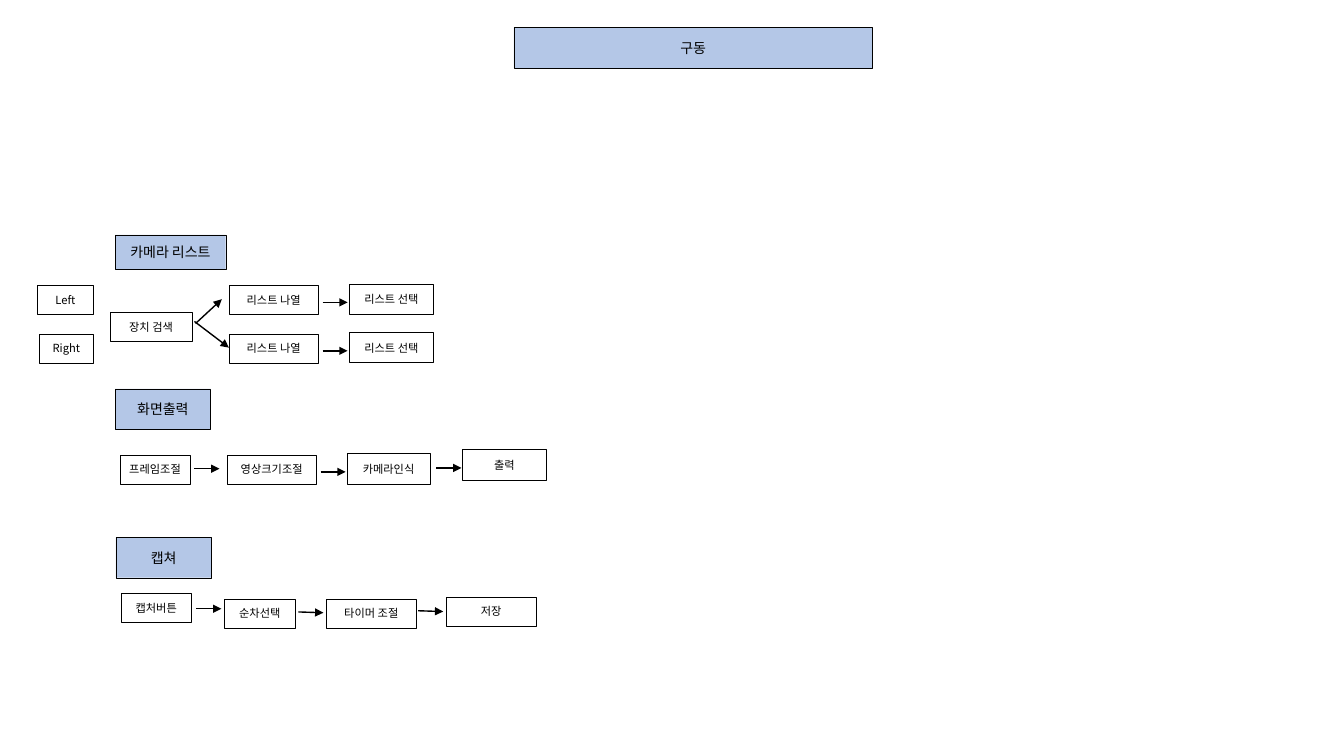
from lxml import etree
from pptx import Presentation
from pptx import util as u
from pptx.dml.color import RGBColor
from pptx.enum import shapes, text
from pptx.oxml.ns import qn

COLORS = {"ink": "000000", "heading": "B4C7E7"}
FONT = "Noto Sans CJK KR"


class Flow:
    """Style and current slide; all lengths are centimetres."""

    def __init__(self, slide):
        self.s = slide

    def color(self, name):
        return RGBColor.from_string(COLORS[name])

    def box(self, label, x, y, w, h=0.74, size=8, fill=None):
        sp = self.s.shapes.add_shape(
            shapes.MSO_SHAPE.RECTANGLE, u.Cm(x), u.Cm(y), u.Cm(w), u.Cm(h))
        sp.shadow.inherit = False
        if fill:
            sp.fill.solid()
            sp.fill.fore_color.rgb = self.color(fill)
        else:
            sp.fill.background()
        sp.line.color.rgb = self.color("ink")
        sp.line.width = u.Pt(0.25)
        tf = sp.text_frame
        tf.word_wrap = True
        tf.vertical_anchor = text.MSO_ANCHOR.MIDDLE
        tf.margin_left = tf.margin_right = u.Cm(0.1)
        tf.margin_top = tf.margin_bottom = u.Cm(0.1)
        p = tf.paragraphs[0]
        p.text = label
        p.alignment = text.PP_ALIGN.CENTER
        p.font.size = u.Pt(size)
        p.font.color.rgb = self.color("ink")
        p.font.name = FONT
        # Korean text takes the East Asian font
        props = p._p.pPr.find(qn("a:defRPr"))
        etree.SubElement(props, qn("a:ea")).set("typeface", FONT)

    def heading(self, label, x, y, w=2.41, h=1.02):
        self.box(label, x, y, w, h, size=10, fill="heading")

    def arrow(self, x1, y1, x2, y2):
        c = self.s.shapes.add_connector(
            shapes.MSO_CONNECTOR.STRAIGHT, u.Cm(x1), u.Cm(y1), u.Cm(x2), u.Cm(y2))
        c.line.color.rgb = self.color("ink")
        c.line.width = u.Pt(1)
        ln = c.line._get_or_add_ln()
        etree.SubElement(ln, qn("a:tailEnd")).set("type", "triangle")
        etree.SubElement(c._element.spPr, qn("a:effectLst"))

    def step_arrow(self, x, y, drop=0):
        self.arrow(x, y, x + 0.63, y + drop)


def main():
    prs = Presentation()
    prs.slide_width, prs.slide_height = u.Cm(33.87), u.Cm(19.05)
    flow = Flow(prs.slides.add_slide(prs.slide_layouts[6]))

    # Title and section headings
    flow.heading("구동", 12.95, 0.69, w=9.04)
    flow.heading("카메라 리스트", 2.9, 5.92, w=2.79, h=0.86)
    flow.heading("화면출력", 2.9, 9.8)
    flow.heading("캡쳐", 2.92, 13.54)

    # Camera list: one search forks into a left and a right row
    flow.box("장치 검색", 2.77, 7.87, 2.08)
    for i, (side, x, w) in enumerate([("Left", 0.94, 1.42), ("Right", 0.99, 1.37)]):
        dy = 1.22 * i
        flow.box(side, x, 7.19 + dy, w)
        flow.box("리스트 나열", 5.77, 7.19 + dy, 2.26)
        flow.step_arrow(8.13, 7.62 + dy)
        flow.box("리스트 선택", 8.81, 7.16 + dy, 2.11, 0.76)
    flow.arrow(4.93, 8.15, 5.59, 7.54)
    flow.arrow(4.9, 8.1, 5.77, 8.76)

    # Screen output and capture steps
    for step in [
        ("프레임조절", 3.02, 11.46, 1.78),
        ("영상크기조절", 5.72, 11.46, 2.26),
        ("카메라인식", 8.74, 11.43, 2.11, 0.76),
        ("출력", 11.66, 11.33, 2.11, 0.76),
        ("캡처버튼", 3.05, 14.94, 1.78),
        ("순차선택", 5.66, 15.09, 1.78),
        ("타이머 조절", 8.23, 15.09, 2.26),
        ("저장", 11.25, 15.04, 2.26),
    ]:
        flow.box(*step)

    # Arrows between those steps
    for link in [
        (4.9, 11.81), (8.08, 11.89), (11, 11.79),
        (4.95, 15.34), (7.52, 15.42, 0.02), (10.54, 15.39, 0.02),
    ]:
        flow.step_arrow(*link)

    prs.save("out.pptx")


if __name__ == "__main__":
    main()
